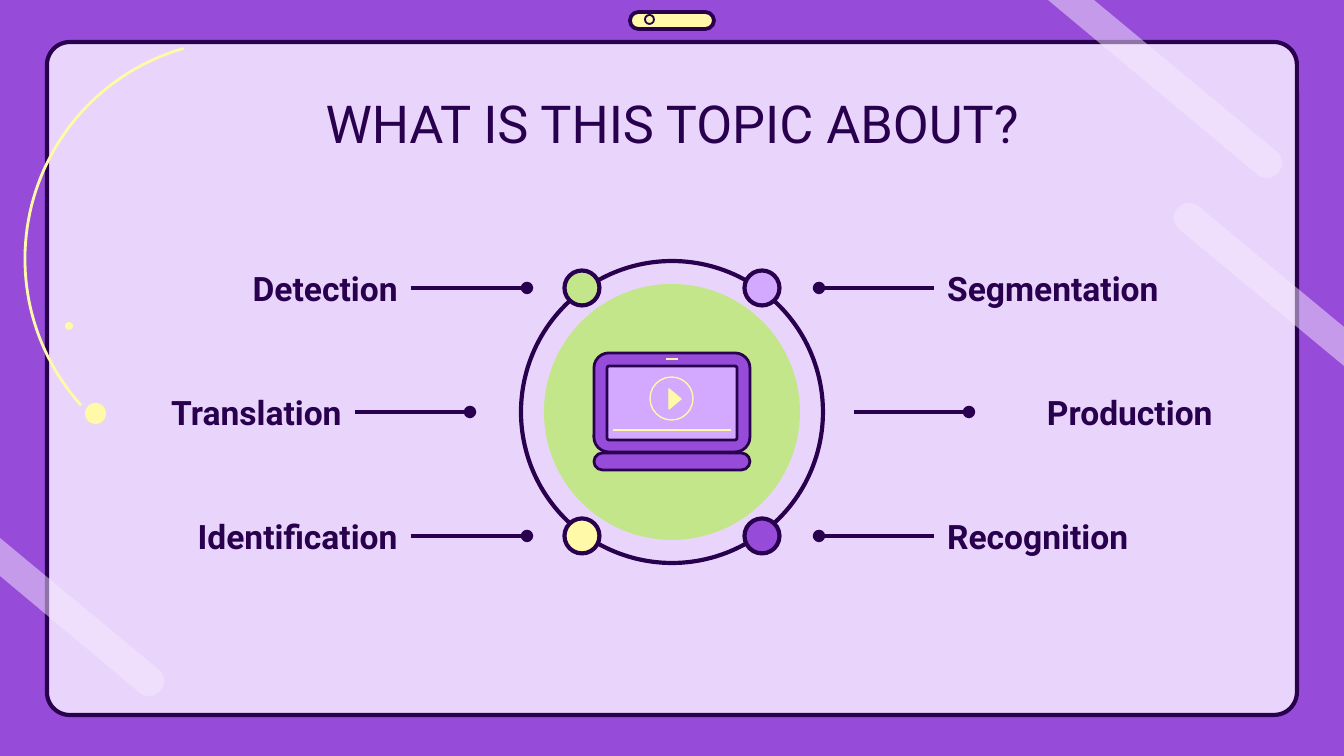
import math
from pptx import Presentation, util as u
from pptx.dml import color
from pptx.enum import shapes as kinds, text
from pptx.oxml import ns
from lxml import etree

PX = 914400 / 134.4
INK, PURPLE, LILAC, PALE = "28004D", "964CD8", "D3A8FF", "E9D5FC"
YELLOW, GREEN, STREAK = "FFF9A8", "C4E68B", "F5E9FF"
ROUND, OVAL = kinds.MSO_SHAPE.ROUNDED_RECTANGLE, kinds.MSO_SHAPE.OVAL
LEFT, RIGHT, CENTER = text.PP_ALIGN.LEFT, text.PP_ALIGN.RIGHT, text.PP_ALIGN.CENTER

TITLE = "WHAT IS THIS TOPIC ABOUT?"
TITLE_BOX = (106, 78, 1132, 85)
LABEL_SIZE = (305, 52)
ROWS = (288, 412, 536)
LABELS = [
    ("Detection", 106, 0, RIGHT, 411, 527),
    ("Segmentation", 934, 0, LEFT, 934, 819),
    ("Translation", 50, 1, RIGHT, 355, 470),
    ("Production", 921, 1, RIGHT, 854, 969),
    ("Identification", 106, 2, RIGHT, 411, 527),
    ("Recognition", 934, 2, LEFT, 934, 819),
]
NODES = [(582, 0, GREEN), (762, 0, LILAC), (582, 2, YELLOW), (762, 2, PURPLE)]
NODE_SIZE = 35

FRAME = [
    (ROUND, (47, 42, 1250, 673), PALE, INK, 2.25, 0.034),
    (ROUND, (630, 12, 84, 17), YELLOW, INK, 2, 0.5),
    (OVAL, (645, 15, 9, 9), None, INK, 1, None),
    (OVAL, (65, 322, 8, 8), YELLOW, None, 0, None),
    (OVAL, (85, 403, 21, 21), YELLOW, None, 0, None),
]
LAPTOP = [
    (OVAL, (544, 284, 256, 256), GREEN, None, 0, None),
    (OVAL, (521, 261, 302, 302), None, INK, 2.25, None),
    (ROUND, (594, 353, 156, 99), PURPLE, INK, 1.5, 0.15),
    (ROUND, (607, 366, 130, 74), LILAC, INK, 1.5, 0.03),
    (OVAL, (650, 377, 43, 43), None, YELLOW, 0.75, None),
    (ROUND, (594, 453, 156, 17), PURPLE, INK, 1.5, 0.5),
]
PLAY = [(669, 389), (669, 409), (681, 399)]
SCREEN_LINES = [(613, 430, 731, 430), (666, 359, 678, 359)]
ORBIT = ((244, 259), 219, 254, 138)
STREAKS = [
    ((1094, 0), (1267, 163), -50, (1048, 0)),
    ((0, 538), (149, 681), -50, (0, 576)),
    ((1344, 366), (1189, 218), 130, (1344, 327)),
]
STREAK_RADIUS = 15


def emu(*values):
    return [u.Emu(round(value * PX)) for value in values]


def rgb(value):
    return color.RGBColor.from_string(value)


def paint(shape, fill, line, width):
    shape.shadow.inherit = False
    if fill:
        shape.fill.solid()
        shape.fill.fore_color.rgb = rgb(fill)
    else:
        shape.fill.background()
    if line:
        shape.line.color.rgb = rgb(line)
        shape.line.width = u.Pt(width)
    else:
        shape.line.fill.background()
    return shape


def add_preset(slide, kind, box, fill, line, width, corner):
    shape = paint(slide.shapes.add_shape(kind, *emu(*box)), fill, line, width)
    if corner is not None:
        shape.adjustments[0] = corner


def add_outline(slide, points, fill, line, width, close=True):
    first, *rest = [emu(*point) for point in points]
    builder = slide.shapes.build_freeform(*first, scale=1.0)
    builder.add_line_segments(rest, close=close)
    return paint(builder.convert_to_shape(), fill, line, width)


def arc(center, radius, start, end, steps=60):
    angles = [math.radians(start + (end - start) * i / steps) for i in range(steps + 1)]
    return [(center[0] + radius * math.cos(a), center[1] + radius * math.sin(a)) for a in angles]


def add_line(slide, ends, hue, width, dot=False):
    line = slide.shapes.add_connector(kinds.MSO_CONNECTOR.STRAIGHT, *emu(*ends))
    line.line.color.rgb = rgb(hue)
    line.line.width = u.Pt(width)
    if dot:
        etree.SubElement(line.line._get_or_add_ln(), ns.qn("a:tailEnd"), type="oval")
    etree.SubElement(line._element.spPr, ns.qn("a:effectLst"))


def write(shape, words, align, anchor, size, bold):
    frame = shape.text_frame
    inset = u.Inches(0.1)
    settings = dict(text=words, word_wrap=True, auto_size=text.MSO_AUTO_SIZE.NONE,
                    vertical_anchor=anchor, margin_left=inset, margin_right=inset,
                    margin_top=inset, margin_bottom=inset)
    for name, value in settings.items():
        setattr(frame, name, value)
    paragraph = frame.paragraphs[0]
    paragraph.alignment = align
    for name, value in dict(name="Roboto", size=u.Pt(size), bold=bold).items():
        setattr(paragraph.runs[0].font, name, value)
    paragraph.runs[0].font.color.rgb = rgb(INK)


def main():
    presentation = Presentation()
    presentation.slide_width, presentation.slide_height = emu(1344, 756)
    slide = presentation.slides.add_slide(presentation.slide_layouts[5])
    slide.background.fill.solid()
    slide.background.fill.fore_color.rgb = rgb(PURPLE)

    for preset in FRAME:
        add_preset(slide, *preset)
    add_outline(slide, arc(*ORBIT), None, YELLOW, 1.5, close=False)
    for first, center, angle, last in STREAKS:
        cap = arc(center, STREAK_RADIUS, angle, angle + 180)
        streak = add_outline(slide, [first, *cap, last], STREAK, None, 0)
        hue = streak._element.spPr.find(".//" + ns.qn("a:srgbClr"))
        etree.SubElement(hue, ns.qn("a:alpha"), val="50000")

    title = slide.shapes.title
    title.left, title.top, title.width, title.height = emu(*TITLE_BOX)
    write(title, TITLE, CENTER, text.MSO_ANCHOR.TOP, 28, False)
    slide.shapes._spTree.append(title._element)

    for preset in LAPTOP:
        add_preset(slide, *preset)
    add_outline(slide, PLAY, YELLOW, YELLOW, 0.75)
    for ends in SCREEN_LINES:
        add_line(slide, ends, YELLOW, 0.75)

    width, height = LABEL_SIZE
    for words, left, row, align, start, end in LABELS:
        y = ROWS[row]
        box = slide.shapes.add_textbox(*emu(left, y - height / 2, width, height))
        write(box, words, align, text.MSO_ANCHOR.MIDDLE, 18, True)
        add_line(slide, (start, y, end, y), INK, 2.25, dot=True)
    for x, row, fill in NODES:
        corner = (x - NODE_SIZE / 2, ROWS[row] - NODE_SIZE / 2)
        add_preset(slide, OVAL, (*corner, NODE_SIZE, NODE_SIZE), fill, INK, 2.25, None)

    presentation.save("out.pptx")


if __name__ == "__main__":
    main()
